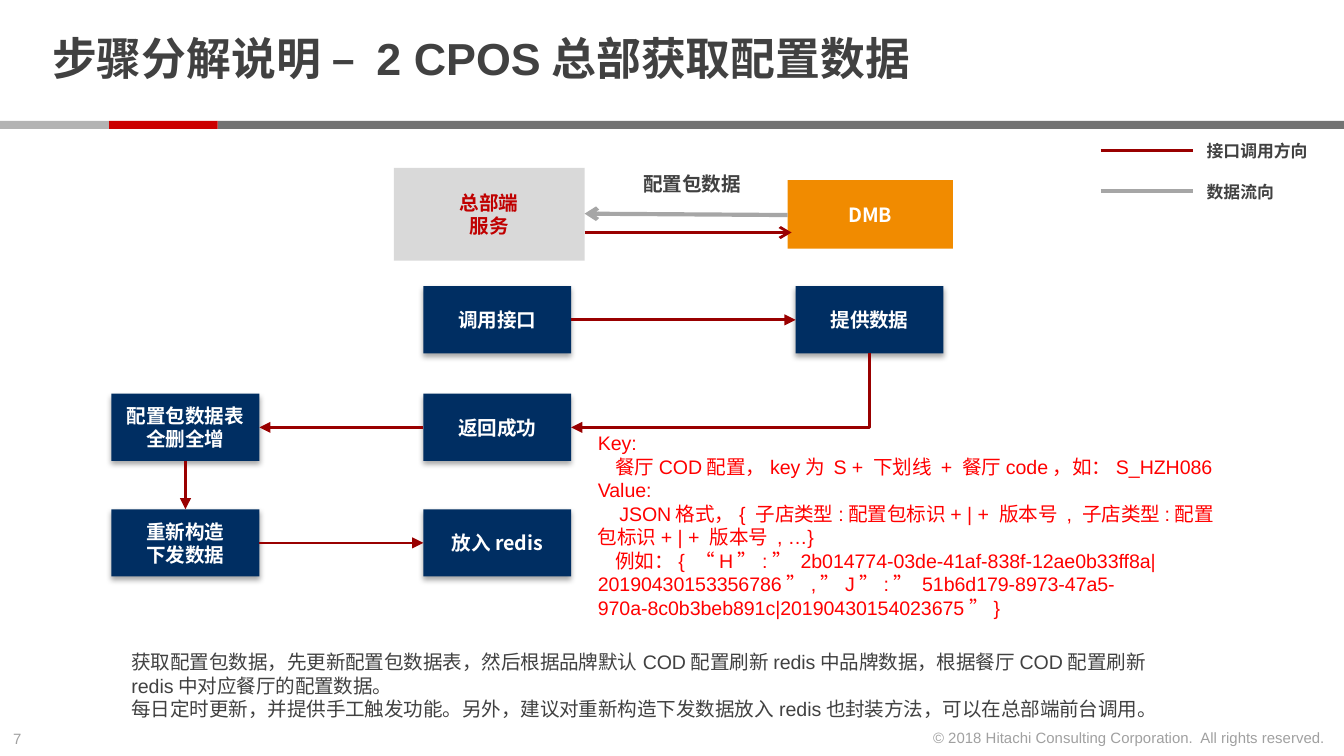
from dataclasses import dataclass

from lxml import etree
from pptx import Presentation
from pptx.dml.color import RGBColor
from pptx.enum.shapes import MSO_CONNECTOR, MSO_SHAPE
from pptx.enum.text import MSO_ANCHOR, PP_ALIGN
from pptx.oxml.ns import qn
from pptx.util import Inches, Pt

STRAIGHT, ELBOW = MSO_CONNECTOR.STRAIGHT, MSO_CONNECTOR.ELBOW
RECTANGLE = MSO_SHAPE.RECTANGLE
TOP, MIDDLE = MSO_ANCHOR.TOP, MSO_ANCHOR.MIDDLE
LEFT, CENTER, RIGHT = PP_ALIGN.LEFT, PP_ALIGN.CENTER, PP_ALIGN.RIGHT
SITE_TOP, SITE_LEFT, SITE_BOTTOM, SITE_RIGHT = range(4)


@dataclass(frozen=True)
class Theme:
    """Colours, fonts and type sizes of the page."""
    text: str = "414141"
    footer: str = "A0A0A0"
    white: str = "FFFFFF"
    navy: str = "002E62"
    orange: str = "F18B00"
    light: str = "D9D9D9"
    service: str = "C00000"
    note: str = "FF0000"
    call: str = "990000"
    data: str = "A6A6A6"
    bar_light: str = "B3B3B3"
    bar_red: str = "CC0000"
    bar_dark: str = "737373"
    latin: str = "Arial"
    chinese: str = "Noto Sans CJK SC"
    title_size: float = 24
    body_size: float = 10.5
    legend_size: float = 9
    footer_size: float = 8
    call_width: float = 1.5
    data_width: float = 2.25


THEME = Theme()
STEP_SIZE = (1.1, 0.5)
STEPS = {
    "call": (3.15, 2.13, ["调用接口"]),
    "provide": (5.92, 2.13, ["提供数据"]),
    "table": (0.83, 2.93, ["配置包数据表", "全删全增"]),
    "return": (3.15, 2.93, ["返回成功"]),
    "rebuild": (0.83, 3.79, ["重新构造", "下发数据"]),
    "store": (3.15, 3.79, ["放入redis"]),
}
LINKS = [
    ("call", SITE_RIGHT, "provide", SITE_LEFT),
    ("return", SITE_LEFT, "table", SITE_RIGHT),
    ("table", SITE_BOTTOM, "rebuild", SITE_TOP),
    ("rebuild", SITE_RIGHT, "store", SITE_LEFT),
]
KEY_NOTES = [
    ("Key:", 0),
    ("餐厅COD配置，key为 S + 下划线 + 餐厅code，如：S_HZH086", 0.13),
    ("Value:", 0),
    ("JSON格式，{ 子店类型:配置包标识+ | + 版本号 , 子店类型:配置包标识+ | + 版本号 , …}", 0.16),
    ("例如：{ “H”:” 2b014774-03de-41af-838f-12ae0b33ff8a|20190430153356786”,”J”:” "
     "51b6d179-8973-47a5-970a-8c0b3beb891c|20190430154023675”}", 0.13),
]
SUMMARY = [
    "获取配置包数据，先更新配置包数据表，然后根据品牌默认COD配置刷新redis中品牌数据，"
    "根据餐厅COD配置刷新redis中对应餐厅的配置数据。",
    "每日定时更新，并提供手工触发功能。另外，建议对重新构造下发数据放入redis也封装方法，"
    "可以在总部端前台调用。",
]


def write(frame, lines, color, size=THEME.body_size, bold=False, font=THEME.latin,
          align=LEFT, spacing=None):
    """Fill a text frame with (text, first-line indent) pairs or plain strings."""
    for number, line in enumerate(lines):
        text, indent = line if isinstance(line, tuple) else (line, 0)
        para = frame.paragraphs[0] if number == 0 else frame.add_paragraph()
        para.alignment = align
        if spacing:
            para.line_spacing = spacing
        if indent:
            para._p.get_or_add_pPr().set("indent", str(Inches(indent)))
        span = para.add_run()
        span.text = text
        for name, value in {"name": font, "size": Pt(size), "bold": bold}.items():
            setattr(span.font, name, value)
        span.font.color.rgb = RGBColor.from_string(color)
        etree.SubElement(span._r.get_or_add_rPr(), qn("a:ea"), typeface=THEME.chinese)


def add_text(page, place, lines, color=THEME.text, anchor=TOP, inset=0.05, **style):
    """Add a wrapping text box."""
    box = page.shapes.add_textbox(*map(Inches, place))
    settings = {"word_wrap": True, "vertical_anchor": anchor,
                "margin_top": Inches(inset), "margin_bottom": Inches(inset)}
    for name, value in settings.items():
        setattr(box.text_frame, name, value)
    write(box.text_frame, lines, color, **style)


def add_box(page, place, fill, lines=(), color=THEME.white):
    """Add a filled rectangle with centred bold text."""
    box = page.shapes.add_shape(RECTANGLE, *map(Inches, place))
    box.shadow.inherit = False
    box.fill.solid()
    box.fill.fore_color.rgb = RGBColor.from_string(fill)
    box.line.fill.background()
    box.text_frame.vertical_anchor = MIDDLE
    write(box.text_frame, lines, color, bold=True, font=THEME.chinese, align=CENTER)
    return box


def add_step(page, left, top, lines):
    """Add a navy step box with a soft shadow below it."""
    box = add_box(page, (left, top, *STEP_SIZE), THEME.navy, lines)
    effects = box._element.spPr.find(qn("a:effectLst"))
    shadow = etree.SubElement(effects, qn("a:outerShdw"), blurRad=str(Pt(3.1)),
                              dist=str(Pt(1.8)), dir="5400000", rotWithShape="0")
    tint = etree.SubElement(shadow, qn("a:srgbClr"), val="000000")
    etree.SubElement(tint, qn("a:alpha"), val="35000")
    return box


def add_line(page, start, end, color=THEME.call, width=THEME.call_width, head=None,
             kind=STRAIGHT):
    """Add a connector with an optional arrowhead at its end."""
    line = page.shapes.add_connector(kind, *map(Inches, (*start, *end)))
    line.line.color.rgb = RGBColor.from_string(color)
    line.line.width = Pt(width)
    if head:
        etree.SubElement(line.line._get_or_add_ln(), qn("a:tailEnd"), type=head)
    etree.SubElement(line._element.spPr, qn("a:effectLst"))
    return line


def link_steps(page, source, source_site, target, target_site, kind=STRAIGHT):
    """Join two step boxes with a glued arrow."""
    line = add_line(page, (0, 0), (1, 1), head="triangle", kind=kind)
    line.begin_connect(source, source_site)
    line.end_connect(target, target_site)
    return line


def turn_corner(line):
    """Make an elbow run down from its start, then left to its end."""
    across, down = abs(line.end_x - line.begin_x), abs(line.end_y - line.begin_y)
    center_x = (line.begin_x + line.end_x) // 2
    center_y = (line.begin_y + line.end_y) // 2
    properties = line._element.spPr
    properties.find(qn("a:prstGeom")).set("prst", "bentConnector2")
    frame = properties.find(qn("a:xfrm"))
    for flip in ("flipH", "flipV"):
        frame.attrib.pop(flip, None)
    frame.set("rot", "5400000")
    geometry = {"left": center_x - down // 2, "top": center_y - across // 2,
                "width": down, "height": across}
    for name, value in geometry.items():
        setattr(line, name, value)


def add_frame(page):
    """Add the title, the divider bar and the footer."""
    add_text(page, (0, 5.38, 0.34, 0.24), ["7"], THEME.footer, size=THEME.footer_size)
    add_text(page, (6.8, 5.37, 3.16, 0.24),
             ["© 2018 Hitachi Consulting Corporation.\u00a0 All rights reserved."],
             THEME.footer, size=THEME.footer_size, align=RIGHT)
    for left, width, fill in [(1.62, 8.38, THEME.bar_dark), (0.81, 0.81, THEME.bar_red),
                              (0, 0.81, THEME.bar_light)]:
        add_box(page, (left, 0.9, width, 0.06), fill)
    add_text(page, (0.29, 0.06, 7.71, 0.8), ["步骤分解说明 – 2 CPOS总部获取配置数据"],
             anchor=MIDDLE, inset=0, size=THEME.title_size, bold=True, spacing=0.85)


def add_exchange(page):
    """Add the two systems, the arrows between them and the legend."""
    add_box(page, (2.93, 1.25, 1.42, 0.69), THEME.light, ["总部端", "服务"], THEME.service)
    add_box(page, (5.86, 1.34, 1.23, 0.51), THEME.orange, ["DMB"])
    add_line(page, (5.86, 1.6), (4.35, 1.59), THEME.data, THEME.data_width, "arrow")
    add_line(page, (4.35, 1.73), (5.89, 1.73), head="arrow")
    add_text(page, (4.69, 1.23, 1.04, 0.28), ["配置包数据"], bold=True)
    for label, top, color, width in [
            ("接口调用方向", 1, THEME.call, THEME.call_width),
            ("数据流向", 1.3, THEME.data, THEME.data_width)]:
        add_line(page, (8.19, top + 0.12), (8.88, top + 0.12), color, width)
        add_text(page, (8.88, top, 1.04, 0.25), [label], size=THEME.legend_size, bold=True)


def add_flow(page):
    """Add the step boxes and the arrows that join them."""
    boxes = {name: add_step(page, *step) for name, step in STEPS.items()}
    for source, source_site, target, target_site in LINKS:
        link_steps(page, boxes[source], source_site, boxes[target], target_site)
    turn_corner(link_steps(page, boxes["provide"], SITE_BOTTOM,
                           boxes["return"], SITE_RIGHT, ELBOW))


def main():
    """Build the page and save the deck."""
    deck = Presentation()
    deck.slide_width, deck.slide_height = Inches(10), Inches(10) * 9 // 16
    page = deck.slides.add_slide(deck.slide_layouts[6])
    add_frame(page)
    add_exchange(page)
    add_flow(page)
    add_text(page, (0.88, 4.79, 8, 0.63), SUMMARY)
    add_text(page, (4.35, 3.16, 4.82, 1.51), KEY_NOTES, THEME.note)
    deck.save("out.pptx")


if __name__ == "__main__":
    main()
